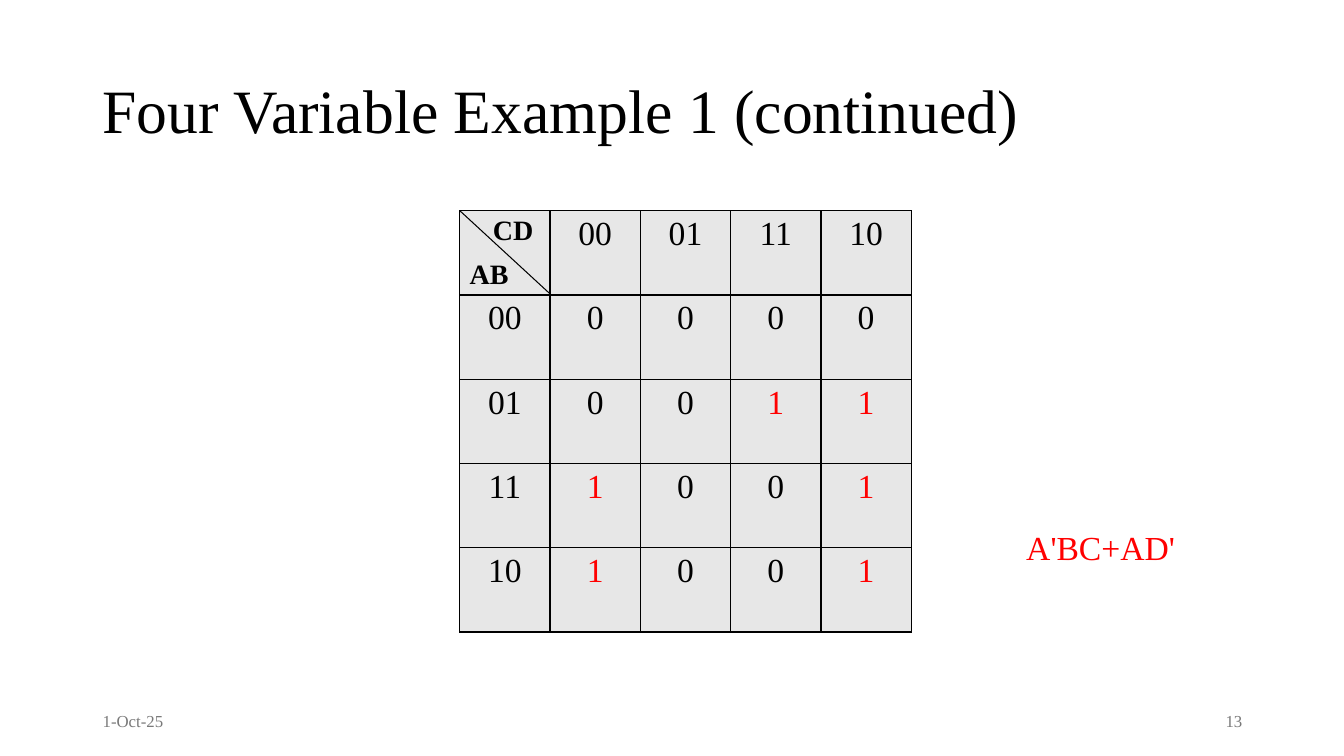
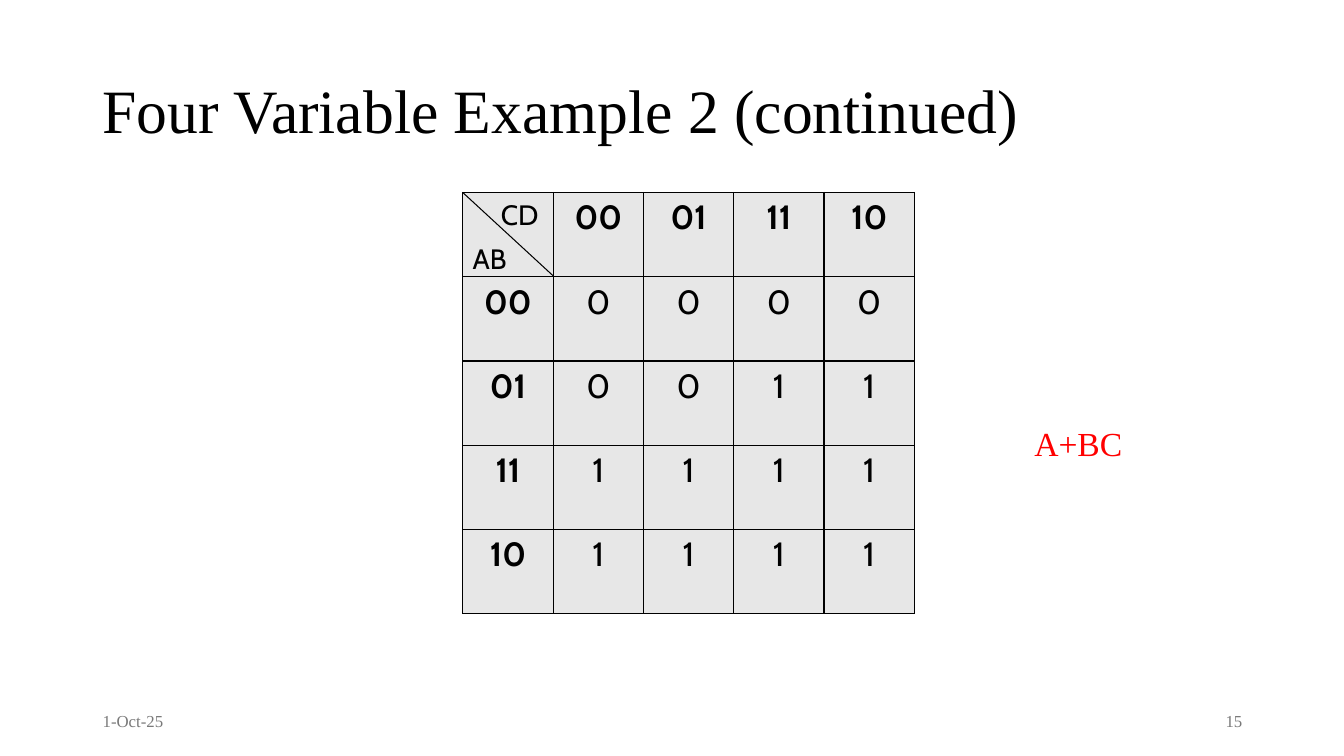
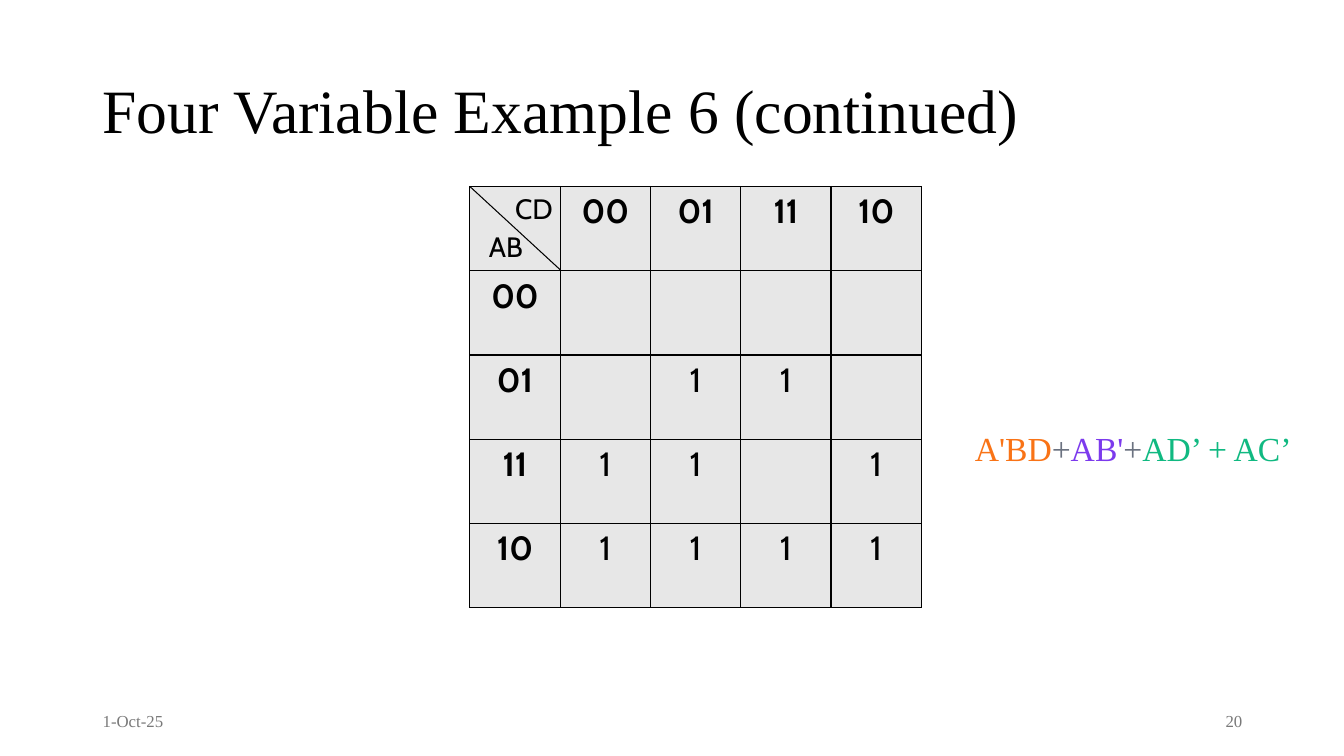
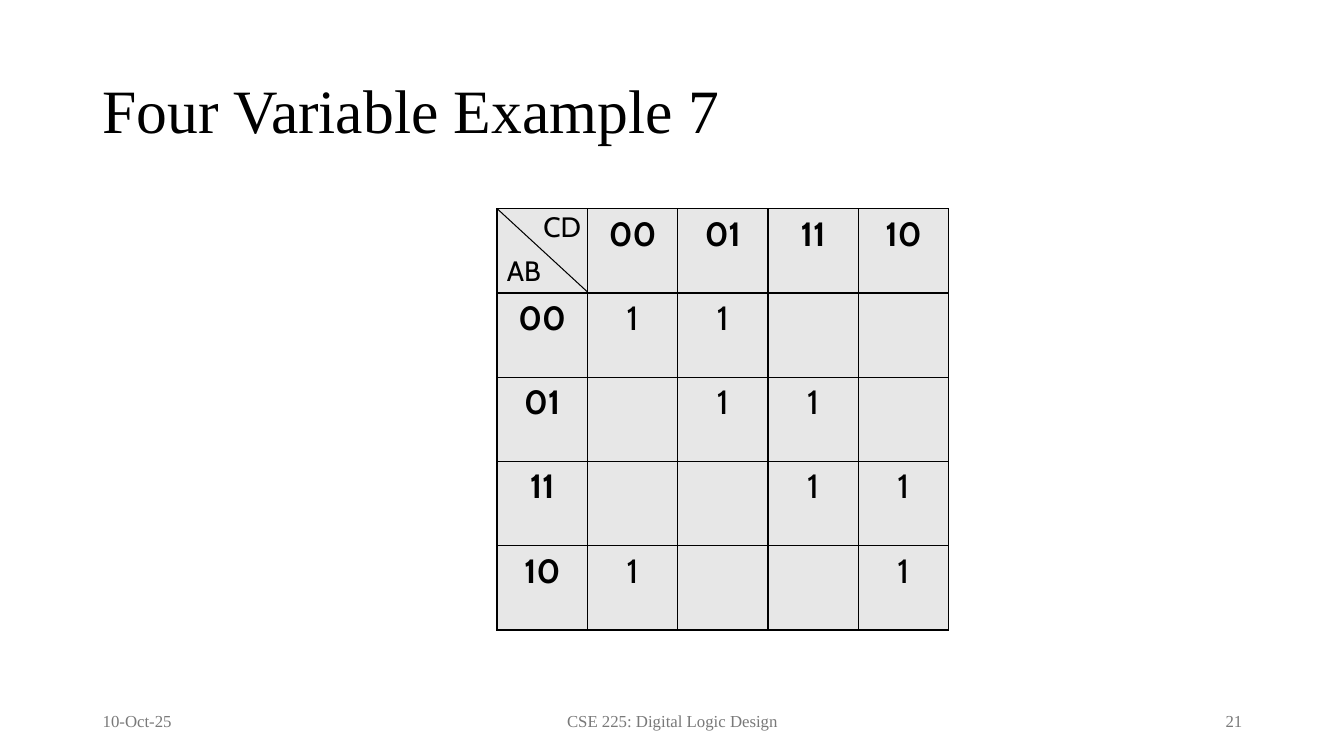
from lxml import etree
from pptx import Presentation
from pptx.dml.color import RGBColor
from pptx.enum.shapes import MSO_CONNECTOR
from pptx.enum.text import MSO_ANCHOR, PP_ALIGN
from pptx.oxml import parse_xml
from pptx.oxml.ns import qn
from pptx.util import Inches, Pt

LEFT, MID, RIGHT = PP_ALIGN.LEFT, PP_ALIGN.CENTER, PP_ALIGN.RIGHT
TOP, CENTRE = MSO_ANCHOR.TOP, MSO_ANCHOR.MIDDLE
STRAIGHT = MSO_CONNECTOR.STRAIGHT
SERIF, SANS = "Times New Roman", "Cabin"
BLACK, GREY, RED, PALE = "000000", "797979", "FF0000", "E7E7E7"
ORANGE, SLATE, VIOLET, GREEN = "F97316", "6B7280", "7C3AED", "10B981"
WIDE, HIGH = 13.33, 7.5

CODES = ["00", "01", "11", "10"]
GRID_W, GRID_H = 4.48, 4.18
COL, ROW = GRID_W / 5, GRID_H / 5

# Each row of "ones" is one row of the map; a space is an empty cell.
# "ab" and "cd" are label offsets from the corner of the map.
SLIDES = [
    {"title": "Four Variable Example 1 (continued)", "date": "1-Oct-25", "page": "13",
     "at": (4.56, 2.09), "ones": ["0000", "0011", "1001", "1001"],
     "font": SERIF, "one": RED, "heads": False, "labels": True,
     "ab": (0, 0.41), "cd": (0.23, -0.03),
     "answer": (10.08, 5.18, [("A'BC+AD'", RED)])},
    {"title": "Four Variable Example 2 (continued)", "date": "1-Oct-25", "page": "15",
     "at": (4.59, 1.91), "ones": ["0000", "0011", "1111", "1111"],
     "ab": (0, 0.44), "cd": (0.28, 0),
     "answer": (10.16, 4.15, [("A+BC", RED)])},
    {"title": "Four Variable Example 6 (continued)", "date": "1-Oct-25", "page": "20",
     "at": (4.66, 1.85), "ones": ["    ", " 11 ", "11 1", "1111"],
     "ab": (0.09, 0.38), "cd": (0.35, 0),
     "answer": (9.57, 4.2, [("A'BD", ORANGE), ("+", SLATE), ("AB'", VIOLET),
                            ("+", SLATE), ("AD’ + AC’", GREEN)])},
    {"title": "Four Variable Example 7", "date": "10-Oct-25", "page": "21",
     "at": (4.93, 2.07), "ones": ["11  ", " 11 ", "  11", "1  1"],
     "ab": (0, 0.4), "cd": (0.36, -0.04),
     "foot": "CSE 225: Digital Logic Design"},
]
PLAIN = {"font": SANS, "one": BLACK, "heads": True, "labels": False}


def paint(hue):
    return RGBColor.from_string(hue)


def write(para, runs, size, font=SERIF, bold=False, align=LEFT):
    """Fill a paragraph with (text, colour) runs."""
    para.alignment = align
    for text, hue in runs:
        run = para.add_run()
        run.text = text
        look = {"size": Pt(size), "name": font, "bold": bold}
        for key, value in look.items():
            setattr(run.font, key, value)
        run.font.color.rgb = paint(hue)


def add_text(slide, box, runs, size, anchor=TOP, **look):
    frame = slide.shapes.add_textbox(*map(Inches, box)).text_frame
    frame.word_wrap = True
    frame.vertical_anchor = anchor
    write(frame.paragraphs[0], runs, size, **look)
    return frame.paragraphs[0]


def add_frame(slide, page):
    """Title, date, page number and footer."""
    title = add_text(slide, (0.92, 0.4, 11.5, 1.45), [(page["title"], BLACK)], 44, CENTRE)
    title.line_spacing = 0.9
    for key, left, width, align in (("date", 0.92, 3, LEFT), ("foot", 4.42, 4.5, MID),
                                    ("page", 9.42, 3, RIGHT)):
        if key in page:
            add_text(slide, (left, 6.95, width, 0.4), [(page[key], GREY)], 12,
                     CENTRE, align=align)


def edge(cell):
    """Draw a black 1 pt border on all four sides of a cell."""
    props = cell._tc.get_or_add_tcPr()
    for spot, side in enumerate(("lnL", "lnR", "lnT", "lnB")):
        props.insert(spot, parse_xml(
            f'<a:{side} xmlns:a="http://schemas.openxmlformats.org/drawingml/2006/main" '
            f'w="{Pt(1)}"><a:solidFill><a:srgbClr val="{BLACK}"/></a:solidFill></a:{side}>'))


def add_map(slide, page):
    left, top = page["at"]
    box = map(Inches, (left, top, GRID_W, GRID_H))
    table = slide.shapes.add_table(5, 5, *box).table
    table.first_row = table.horz_banding = False
    rows = [["", *CODES]] + [[code, *ones] for code, ones in zip(CODES, page["ones"])]
    for r, row in enumerate(rows):
        for c, text in enumerate(row):
            cell = table.cell(r, c)
            cell.fill.solid()
            cell.fill.fore_color.rgb = paint(PALE)
            edge(cell)
            if text.strip():
                head = r == 0 or c == 0
                hue = page["one"] if text == "1" else BLACK
                write(cell.text_frame.paragraphs[0], [(text, hue)], 24, page["font"],
                      head and page["heads"], MID)

    line = slide.shapes.add_connector(
        STRAIGHT, *map(Inches, (left + COL, top + ROW - 0.01, left, top)))
    line.line.color.rgb = paint(BLACK)
    line.line.width = Pt(0.75)
    etree.SubElement(line._element.spPr, qn("a:effectLst"))

    for key, width in (("ab", 0.9), ("cd", 1.08)):
        dx, dy = page[key]
        add_text(slide, (left + dx, top + dy, width, 0.44), [(key.upper(), BLACK)], 20,
                 font=page["font"], bold=page["labels"])


def main():
    deck = Presentation()
    deck.slide_width, deck.slide_height = Inches(WIDE), Inches(HIGH)
    for item in SLIDES:
        page = {**PLAIN, **item}
        slide = deck.slides.add_slide(deck.slide_layouts[6])
        add_frame(slide, page)
        add_map(slide, page)
        if "answer" in page:
            left, top, runs = page["answer"]
            add_text(slide, (left, top, WIDE - left, 0.5), runs, 24)
    deck.save("out.pptx")


if __name__ == "__main__":
    main()
